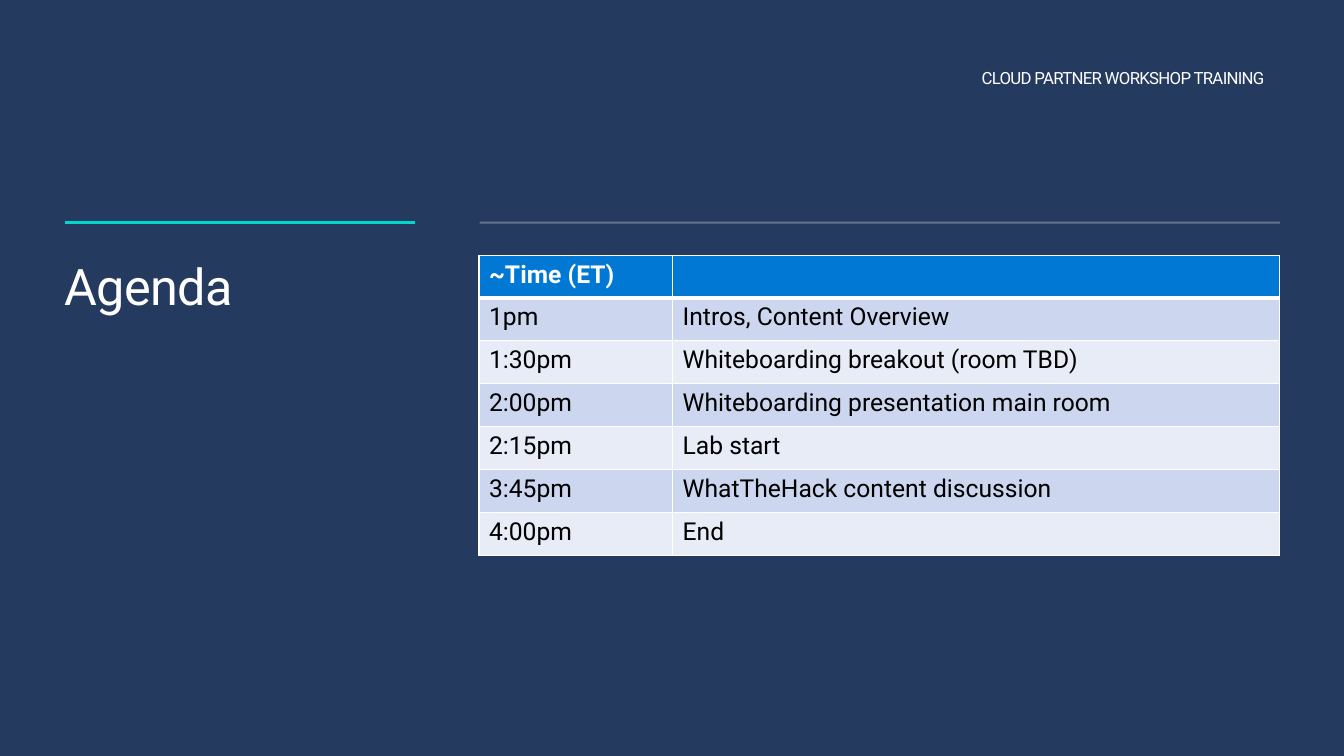
from dataclasses import dataclass

import pptx
import pptx.dml.color
import pptx.enum.shapes
import pptx.enum.text
import pptx.oxml
import pptx.oxml.ns
import pptx.util
from pptx.util import Cm, Pt


@dataclass(frozen=True)
class Theme:
    font: str = "Roboto"
    background: str = "243A5E"
    light: str = "FFFFFF"
    dark: str = "000000"
    accent: str = "00D8CC"
    header: str = "0078D4"
    bands: tuple = ("CCD6EF", "E7ECF7")
    banner_size: float = 12
    title_size: float = 36
    table_size: float = 17.6
    tracking: int = -50


THEME = Theme()
RULE_TOP = 5.61
CONTENT_TOP = 6.43
LEFT, LEFT_WIDTH = 1.63, 8.84
RIGHT, RIGHT_WIDTH = 12.07, 20.17

AGENDA = [
    ("~Time (ET)", ""),
    ("1pm", "Intros, Content Overview"),
    ("1:30pm", "Whiteboarding breakout (room TBD)"),
    ("2:00pm", "Whiteboarding presentation main room"),
    ("2:15pm", "Lab start"),
    ("3:45pm", "WhatTheHack content discussion"),
    ("4:00pm", "End"),
]


def rgb(color):
    return pptx.dml.color.RGBColor.from_string(color)


def set_all(target, values):
    for name, value in values.items():
        setattr(target, name, value)


def write(frame, text, size, color, bold=False):
    """Fill the first paragraph with one formatted run and return both."""
    para = frame.paragraphs[0]
    span = para.add_run()
    span.text = text
    set_all(span.font, {"name": THEME.font, "size": Pt(size), "bold": bold})
    span.font.color.rgb = rgb(color)
    return para, span


def add_heading(shape, box, text, size, align, anchor):
    """Place a box without margins and give it slightly tightened text."""
    left, top, width, height = map(Cm, box)
    set_all(shape, {"left": left, "top": top, "width": width, "height": height})
    set_all(shape.text_frame, {
        "margin_left": 0, "margin_top": 0, "margin_right": 0, "margin_bottom": 0,
        "word_wrap": True, "vertical_anchor": anchor,
        "auto_size": pptx.enum.text.MSO_AUTO_SIZE.SHAPE_TO_FIT_TEXT,
    })
    para, span = write(shape.text_frame, text, size, THEME.light)
    para.alignment = align
    span.font._element.set("spc", str(THEME.tracking))


def add_rule(page, left, top, width, color, weight, opacity=100):
    rule = page.shapes.add_connector(
        pptx.enum.shapes.MSO_CONNECTOR.STRAIGHT,
        Cm(left), Cm(top), Cm(left + width), Cm(top))
    rule.line.width = Pt(weight)
    rule.line.color.rgb = rgb(color)
    if opacity < 100:
        fill = rule.line._ln.find(pptx.oxml.ns.qn("a:solidFill"))
        fill[0].append(pptx.oxml.parse_xml(
            f'<a:alpha {pptx.oxml.ns.nsdecls("a")} val="{opacity * 1000}"/>'))
    rule._element.spPr.append(pptx.oxml.parse_xml(
        f'<a:effectLst {pptx.oxml.ns.nsdecls("a")}/>'))


def add_borders(cell, weights):
    """Draw the sides, with weights in points keyed L, R, T and B."""
    properties = cell._tc.get_or_add_tcPr()
    for side, weight in weights.items():
        properties.append(pptx.oxml.parse_xml(
            f'<a:ln{side} {pptx.oxml.ns.nsdecls("a")} w="{Pt(weight)}">'
            f'<a:solidFill><a:srgbClr val="{THEME.light}"/></a:solidFill>'
            f'</a:ln{side}>'))


def add_agenda(page, left, top, width, row_height=1.08, time_width=4.88):
    frame = page.shapes.add_table(
        len(AGENDA), 2, Cm(left), Cm(top), Cm(width), Cm(row_height * len(AGENDA)))
    table = frame.table
    for column, size in zip(table.columns, (time_width, width - time_width)):
        column.width = Cm(size)
    for index, texts in enumerate(AGENDA):
        table.rows[index].height = Cm(row_height)
        is_header = index == 0
        fill = THEME.header if is_header else THEME.bands[(index - 1) % 2]
        color = THEME.light if is_header else THEME.dark
        borders = {"L": 1, "R": 1, "T": 3 if index == 1 else 1,
                   "B": 3 if is_header else 1}
        for cell, text in zip(table.rows[index].cells, texts):
            add_borders(cell, borders)
            cell.fill.solid()
            cell.fill.fore_color.rgb = rgb(fill)
            if text:
                write(cell.text_frame, text, THEME.table_size, color, is_header)


def build_agenda_slide(deck):
    page = deck.slides.add_slide(deck.slide_layouts[5])
    page.background.fill.solid()
    page.background.fill.fore_color.rgb = rgb(THEME.background)
    align = pptx.enum.text.PP_ALIGN
    anchor = pptx.enum.text.MSO_ANCHOR
    banner = page.shapes.add_textbox(0, 0, 0, 0)
    add_heading(banner, (21.13, 1.7, 10.74, 0.51), "CLOUD PARTNER WORKSHOP TRAINING",
                THEME.banner_size, align.RIGHT, anchor.BOTTOM)
    add_rule(page, LEFT, RULE_TOP, LEFT_WIDTH, THEME.accent, 2.25)
    add_rule(page, RIGHT + 0.02, RULE_TOP, RIGHT_WIDTH, THEME.light, 1.5, opacity=30)
    add_heading(page.shapes.title, (LEFT, CONTENT_TOP, LEFT_WIDTH, 1.55), "Agenda",
                THEME.title_size, align.LEFT, anchor.TOP)
    add_agenda(page, RIGHT, CONTENT_TOP, RIGHT_WIDTH)


def main():
    deck = pptx.Presentation()
    set_all(deck, {"slide_width": Cm(33.87), "slide_height": Cm(19.05)})
    build_agenda_slide(deck)
    deck.save("out.pptx")


if __name__ == "__main__":
    main()
